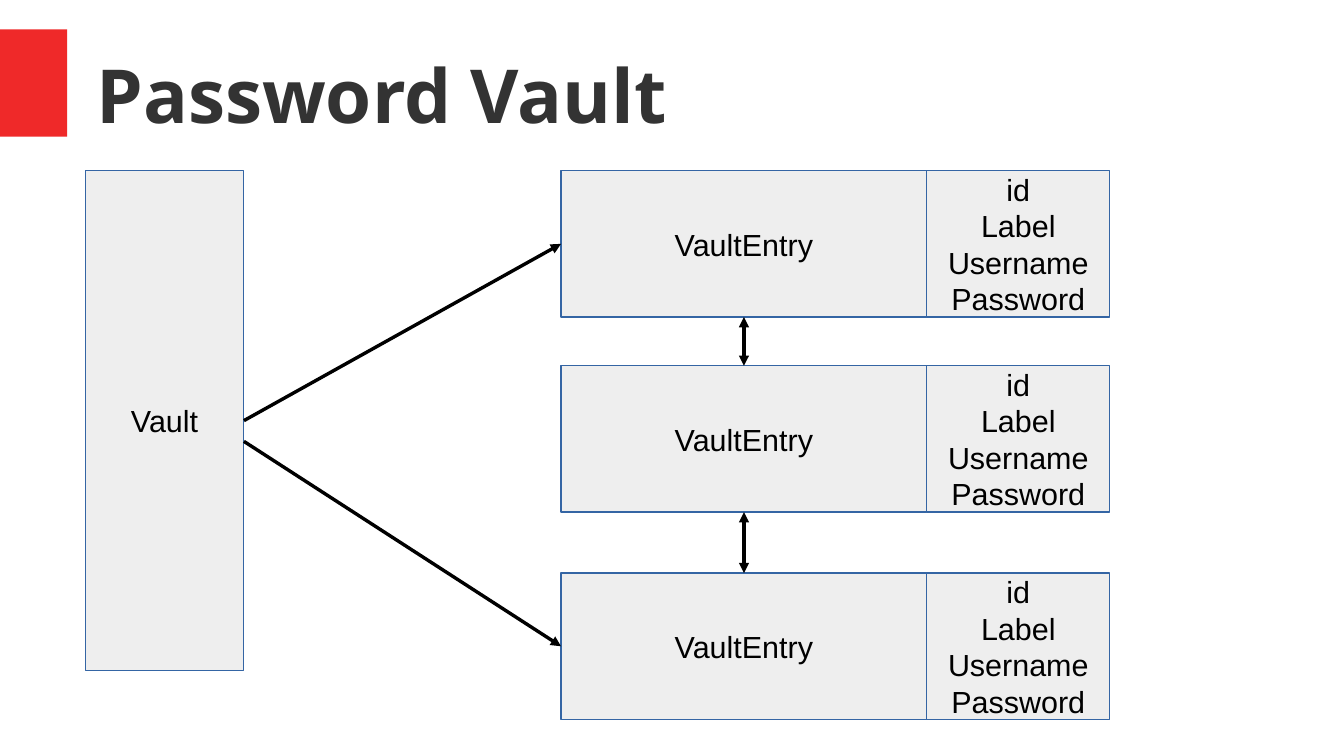
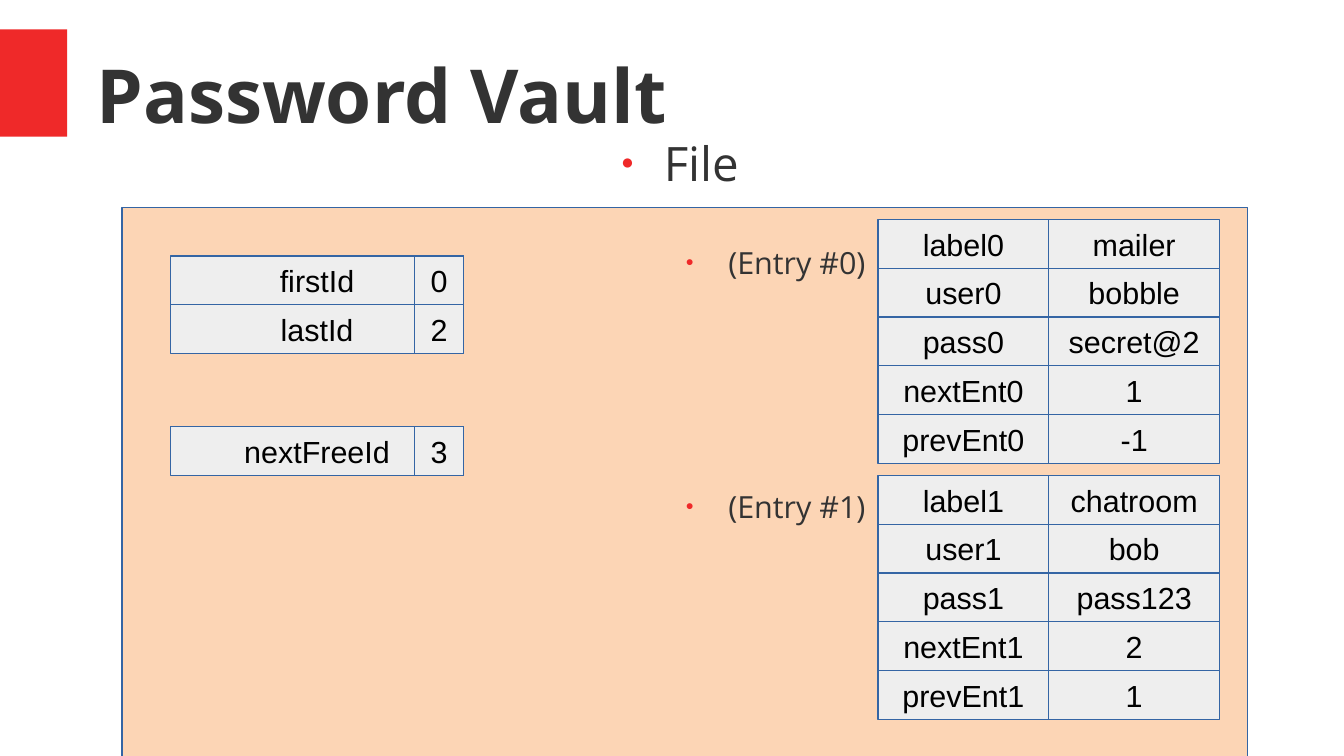
from lxml.etree import SubElement
from pptx import Presentation
from pptx.dml.color import RGBColor
from pptx.enum.shapes import MSO_CONNECTOR, MSO_SHAPE
from pptx.enum.text import MSO_ANCHOR, MSO_AUTO_SIZE, PP_ALIGN
from pptx.oxml.ns import qn
from pptx.util import Inches, Pt

RED = RGBColor(0xEF, 0x29, 0x29)
DARK = RGBColor(0x33, 0x33, 0x33)
BLACK = RGBColor(0, 0, 0)
GRAY = RGBColor(0xEE, 0xEE, 0xEE)
BLUE = RGBColor(0x34, 0x65, 0xA4)
PEACH = RGBColor(0xFC, 0xD5, 0xB5)
HEAD = "Open Sans"
BODY = "Arial"
EDGE = Pt(0)
STEP = 0.4
TOP, LEFT, BOTTOM, RIGHT = range(4)


def place(shape, left, top, width, height):
    shape.left, shape.top = Inches(left), Inches(top)
    shape.width, shape.height = Inches(width), Inches(height)


def style(frame, size, font, color, align=PP_ALIGN.CENTER):
    for para in frame.paragraphs:
        para.alignment = align
        for run in para.runs:
            run.font.size = Pt(size)
            run.font.name = font
            run.font.color.rgb = color


def trim(frame, anchor):
    frame.margin_left = frame.margin_right = 0
    frame.margin_top = frame.margin_bottom = 0
    frame.word_wrap = True
    frame.auto_size = MSO_AUTO_SIZE.NONE
    frame.vertical_anchor = anchor


class Deck:
    def __init__(self):
        self.prs = Presentation()
        self.prs.slide_width = Inches(11.02)
        self.prs.slide_height = Inches(6.2)
        self.slide = None

    def page(self, layout, title):
        first = self.slide is None
        self.slide = self.prs.slides.add_slide(self.prs.slide_layouts[layout])
        if first:
            band = self.box("", 0, 0.24, 0.55, 0.88, RED, None)
            self.prs.slide_master.shapes.element.append(band.element)
        head = self.slide.shapes.title
        place(head, 0.79, 0.25, 9.68, 1.03)
        frame = head.text_frame
        frame.text = title
        trim(frame, MSO_ANCHOR.MIDDLE)
        style(frame, 44, HEAD, DARK, PP_ALIGN.LEFT)
        frame.paragraphs[0].runs[0].font.bold = True

    def box(self, text, left, top, width, height, fill=GRAY, edge=BLUE):
        shape = self.slide.shapes.add_shape(
            MSO_SHAPE.RECTANGLE, Inches(left), Inches(top),
            Inches(width), Inches(height))
        shape.shadow.inherit = False
        shape.fill.solid()
        shape.fill.fore_color.rgb = fill
        if edge is None:
            shape.line.fill.background()
        else:
            shape.line.color.rgb = edge
            shape.line.width = EDGE
        if text:
            frame = shape.text_frame
            frame.text = text
            frame.word_wrap = False
            frame.vertical_anchor = MSO_ANCHOR.MIDDLE
            style(frame, 18, BODY, BLACK)
        return shape

    def arrow(self, start, end, both=False):
        wire = self.slide.shapes.add_connector(
            MSO_CONNECTOR.STRAIGHT, 0, 0, 0, 0)
        first, spot = start
        if isinstance(first, float):
            wire.begin_x, wire.begin_y = Inches(first), Inches(spot)
        else:
            wire.begin_connect(first, spot)
        wire.end_connect(*end)
        wire.line.color.rgb = BLACK
        wire.line.width = EDGE
        line = wire.get_or_add_ln()
        for tag in ("a:headEnd", "a:tailEnd") if both else ("a:tailEnd",):
            SubElement(line, qn(tag), type="triangle")
        SubElement(wire.element.spPr, qn("a:effectLst"))

    def bullet(self, shape, text, size):
        frame = shape.text_frame
        frame.text = text
        trim(frame, MSO_ANCHOR.TOP)
        style(frame, size, HEAD, DARK)
        para = frame.paragraphs[0]
        para.space_before = Pt(0)
        para.space_after = Pt(14.1)
        for prop in shape.element.iter(qn("a:pPr")):
            prop.set("marL", str(Inches(0.47)))
            prop.set("indent", str(Inches(-0.35)))
            tint = SubElement(prop, qn("a:buClr"))
            SubElement(tint, qn("a:srgbClr"), val=str(RED))
            SubElement(prop, qn("a:buSzPct"), val="45000")
            SubElement(prop, qn("a:buFont"), typeface=BODY)
            SubElement(prop, qn("a:buChar"), char="●")

    def body(self, text, *area):
        shape = self.slide.placeholders[1]
        place(shape, *area)
        self.bullet(shape, text, 28)

    def label(self, text, *area):
        shape = self.slide.shapes.add_textbox(*map(Inches, area))
        self.bullet(shape, text, 18)

    def pairs(self, rows, left, top, wide, split, last):
        for num, (name, value) in enumerate(rows):
            spot = top + STEP * num
            self.box(name, left, spot, wide, STEP)
            self.box(value, left + split, spot, last, STEP)


def links(deck):
    deck.page(5, "Password Vault")
    vault = deck.box("Vault", 0.7, 1.4, 1.3, 4.1)
    nodes = []
    for top in (1.4, 3, 4.7):
        nodes.append(deck.box("VaultEntry", 4.6, top, 3, 1.2))
        deck.box("id\nLabel\nUsername\nPassword", 7.6, top, 1.5, 1.2)
    deck.arrow((vault, RIGHT), (nodes[0], LEFT))
    for upper, lower in zip(nodes, nodes[1:]):
        deck.arrow((upper, BOTTOM), (lower, TOP), both=True)
    deck.arrow((2.0, 3.62), (nodes[-1], LEFT))


def store(deck):
    deck.page(1, "Password Vault")
    deck.box("", 1, 1.7, 9.23, 4.7, PEACH)
    deck.body("File", 0.79, 1.1, 9.45, 4.09)
    heads = (2.1, [("firstId", "0"), ("lastId", "2")]), (3.5, [("nextFreeId", "3")])
    for top, rows in heads:
        deck.pairs(rows, 1.4, top, 2.4, 2, 0.4)
    names = ("label", "user", "pass", "nextEnt", "prevEnt")
    items = (("mailer", "bobble", "secret@2", "1", "-1"),
             ("chatroom", "bob", "pass123", "2", "1"))
    for num, item in enumerate(items):
        deck.label(f"(Entry #{num})", 4.6, 2 + 2 * num, 3.4, 1)
        rows = [(f"{name}{num}", value) for name, value in zip(names, item)]
        deck.pairs(rows, 7.2, 1.8 + 2.1 * num, 1.4, 1.4, 1.4)


def main():
    deck = Deck()
    links(deck)
    store(deck)
    deck.prs.save("out.pptx")


if __name__ == "__main__":
    main()
